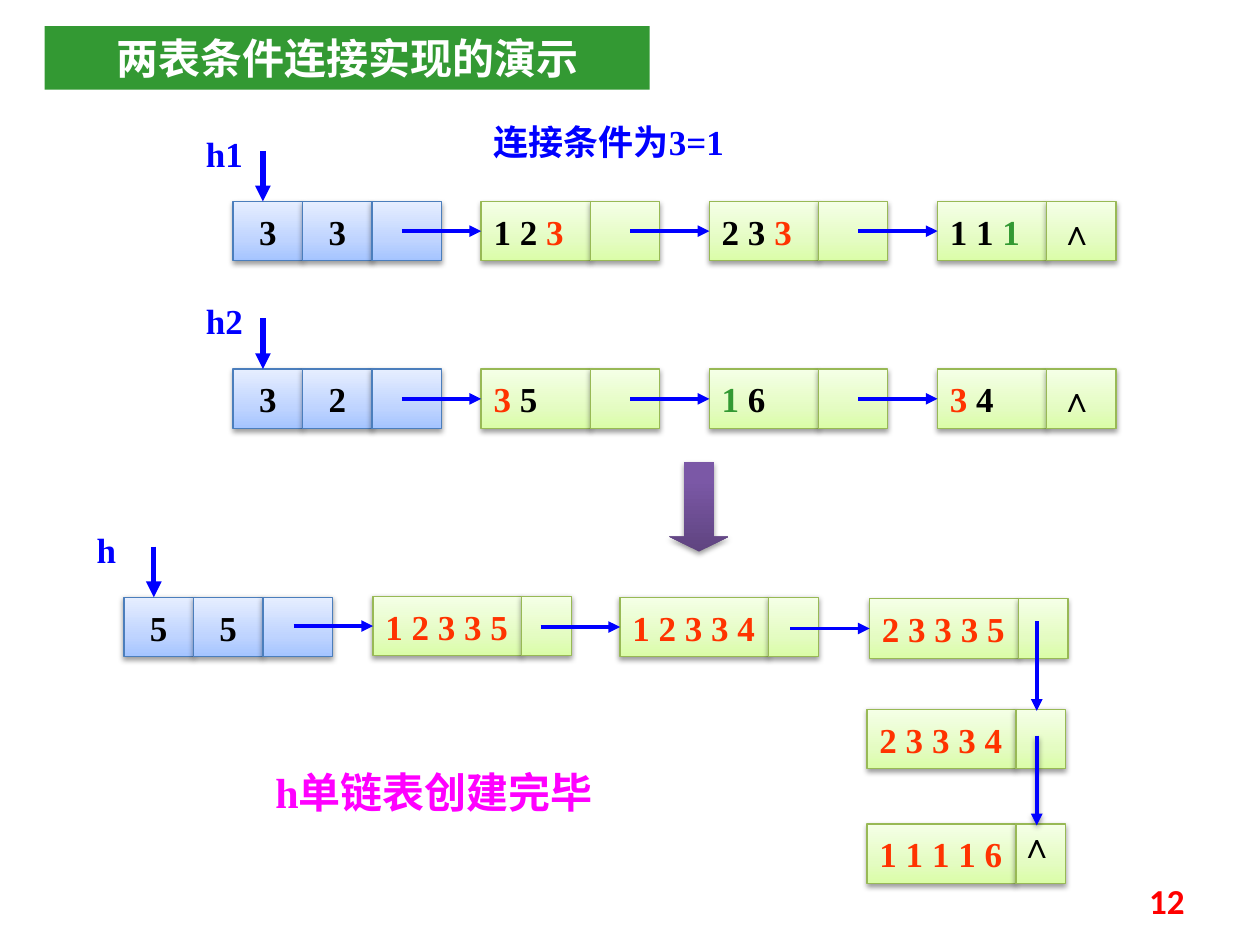
"""Build the slide that shows a conditional join of two linked lists."""
from lxml.etree import SubElement
from pptx import Presentation
from pptx.dml.color import RGBColor
from pptx.enum.shapes import MSO_CONNECTOR, MSO_SHAPE
from pptx.enum.text import MSO_ANCHOR as ANCHOR, PP_ALIGN as ALIGN
from pptx.oxml.ns import qn
from pptx.util import Cm, Pt

COLORS = {
    "black": "000000", "white": "FFFFFF", "red": "FF3300", "green": "339933",
    "blue": "0000FF", "magenta": "FF00FF", "number": "FF0000",
    "head_line": "4B7EBC", "node_line": "98B955",
}
GRADIENTS = {
    "head": [(0, "A4C4FF"), (35, "BFD4FF"), (100, "E6EEFF")],
    "node": [(0, "DAFDA7"), (35, "E4FCC2"), (100, "F5FFE7")],
    "result": [(0, "5F4480"), (80, "7B58A6"), (100, "7C57A8")],
}
SERIF, SANS, CJK = "Times New Roman", "Calibri", "Noto Sans CJK SC"
CELL_W, CELL_H = 1.4, 1.2
LINK, LINK_DROP = 1.6, 0.6
END = "∧ "


def rgb(name):
    return RGBColor.from_string(COLORS[name])


def write(frame, pieces, size=20, font=SERIF, align=ALIGN.LEFT):
    paragraph = frame.paragraphs[0]
    paragraph.alignment = align
    for words, color in pieces:
        run = paragraph.add_run()
        run.text = words
        run.font.size, run.font.bold, run.font.name = Pt(size), True, font
        run.font.color.rgb = rgb(color)
        SubElement(run.font._element, qn("a:ea"), typeface=CJK)


def add_shadow(effects, opacity=38):
    outer = SubElement(effects, qn("a:outerShdw"), blurRad=str(Pt(3.1)),
                       dist=str(Pt(1.6)), dir="5400000", rotWithShape="0")
    black = SubElement(outer, qn("a:srgbClr"), val=COLORS["black"])
    SubElement(black, qn("a:alpha"), val=str(opacity * 1000))


def add_block(shapes, kind, left, top, width, height, gradient):
    block = shapes.add_shape(kind, Cm(left), Cm(top), Cm(width), Cm(height))
    block.fill.gradient()
    block.fill.gradient_angle = 90
    stops = block._element.spPr.find(qn("a:gradFill")).find(qn("a:gsLst"))
    for stop in list(stops):
        stops.remove(stop)
    for position, color in GRADIENTS[gradient]:
        stop = SubElement(stops, qn("a:gs"), pos=str(position * 1000))
        SubElement(stop, qn("a:srgbClr"), val=color)
    block.line.fill.background()
    block.shadow.inherit = False
    add_shadow(block._element.spPr.find(qn("a:effectLst")))
    return block


def add_cell(shapes, left, top, width, style, pieces=(), align=ALIGN.CENTER):
    cell = add_block(shapes, MSO_SHAPE.RECTANGLE, left, top, width, CELL_H, style)
    cell.line.color.rgb = rgb(style + "_line")
    cell.line.width = Pt(0.75)
    cell.text_frame.word_wrap = False
    cell.text_frame.vertical_anchor = ANCHOR.MIDDLE
    write(cell.text_frame, pieces, align=align)


def add_arrow(shapes, start, end, weight=2.25, shadowed=False):
    arrow = shapes.add_connector(MSO_CONNECTOR.STRAIGHT, *map(Cm, start + end))
    arrow.line.color.rgb = rgb("blue")
    arrow.line.width = Pt(weight)
    SubElement(arrow.line._get_or_add_ln(), qn("a:tailEnd"), type="triangle")
    effects = SubElement(arrow._element.spPr, qn("a:effectLst"))
    if shadowed:
        add_shadow(effects)


def add_label(shapes, left, top, width, height, pieces, inset=None, **style):
    frame = shapes.add_textbox(Cm(left), Cm(top), Cm(width), Cm(height)).text_frame
    frame.word_wrap = True
    if inset is not None:
        frame.margin_left = frame.margin_right = Cm(inset)
        frame.margin_top = frame.margin_bottom = Cm(inset)
    write(frame, pieces, **style)
    return frame


def add_head(shapes, name, left, top, counts):
    for column, count in enumerate((*counts, "")):
        pieces = [(count, "black")] if count else []
        add_cell(shapes, left + column * CELL_W, top, CELL_W, "head", pieces)
    pointer = left + 0.6
    add_arrow(shapes, (pointer, top - 1.02), (pointer, top), weight=3)
    add_label(shapes, left - 0.8, top - 1.52, CELL_W, 1.1, [(name, "blue")])


def add_node(shapes, left, top, data, data_w, next_w, next_mark=""):
    node = shapes.add_group_shape().shapes
    add_cell(node, left, top, data_w, "node", data, ALIGN.LEFT)
    mark = [(next_mark, "black")] if next_mark else []
    add_cell(node, left + data_w, top, next_w, "node", mark)


def add_linked_node(shapes, left, top, *node):
    add_node(shapes, left, top, *node)
    middle = top + LINK_DROP
    add_arrow(shapes, (left - LINK, middle), (left, middle))


def add_source_list(shapes, name, top, counts, rows):
    add_head(shapes, name, 4.7, top, counts)
    for index, row in enumerate(rows):
        mark = END if index == len(rows) - 1 else ""
        add_linked_node(shapes, 9.7 + index * 4.6, top, row, 2.2, CELL_W, mark)


def add_joined_list(shapes):
    add_head(shapes, "h", 2.5, 12.04, "55")
    across = [(7.52, 12.02, "1 2 3 3 5"), (12.5, 12.04, "1 2 3 3 4"),
              (17.53, 12.07, "2 3 3 3 5")]
    for left, top, row in across:
        add_linked_node(shapes, left, top, [(row, "red")], 3, 1)
    down = [(14.3, "2 3 3 3 4", False), (16.61, "1 1 1 1 6", True)]
    for top, row, shadowed in down:
        add_node(shapes, 17.48, top, [(row, "red")], 3, 1)
        add_arrow(shapes, (20.9, top - 1.78), (20.9, top + 0.03), shadowed=shadowed)
    add_label(shapes, 20.55, 16.61, 0.8, 0.86, [("∧", "black")], inset=0)


def add_title(shapes):
    title = shapes.add_shape(MSO_SHAPE.RECTANGLE, Cm(0.9), Cm(0.53), Cm(12.2), Cm(1.28))
    title.shadow.inherit = False
    title.fill.solid()
    title.fill.fore_color.rgb = rgb("green")
    title.line.fill.background()
    title.text_frame.word_wrap = True
    title.text_frame.vertical_anchor = ANCHOR.TOP
    write(title.text_frame, [("两表条件连接实现的演示", "white")],
          size=24, font=CJK, align=ALIGN.CENTER)


def main():
    deck = Presentation()
    deck.slide_width, deck.slide_height = Cm(25.4), Cm(19.05)
    shapes = deck.slides.add_slide(deck.slide_layouts[6]).shapes
    add_title(shapes)
    add_label(shapes, 9.7, 2.31, 5.8, 1.1, [("连接条件为3=1", "blue")])
    add_source_list(shapes, "h1", 4.06, "33", [
        [("1 2 ", "black"), ("3", "red")],
        [("2 3 ", "black"), ("3", "red")],
        [("1 1 ", "black"), ("1", "green")],
    ])
    add_source_list(shapes, "h2", 7.44, "32", [
        [("3", "red"), (" 5", "black")],
        [("1", "green"), (" 6", "black")],
        [("3", "red"), (" 4", "black")],
    ])
    result = add_block(shapes, MSO_SHAPE.DOWN_ARROW, 13.49, 9.32, 1.2, 1.8, "result")
    result.adjustments[0], result.adjustments[1] = 0.5, 0.25
    add_joined_list(shapes)
    add_label(shapes, 5.3, 15.32, 8, 1.28, [("h单链表创建完毕", "magenta")], size=24)
    number = add_label(shapes, 18.21, 17.65, 5.92, 1.02, [("12", "number")],
                       font=SANS, align=ALIGN.RIGHT)
    number.vertical_anchor = ANCHOR.MIDDLE
    deck.save("out.pptx")


if __name__ == "__main__":
    main()
